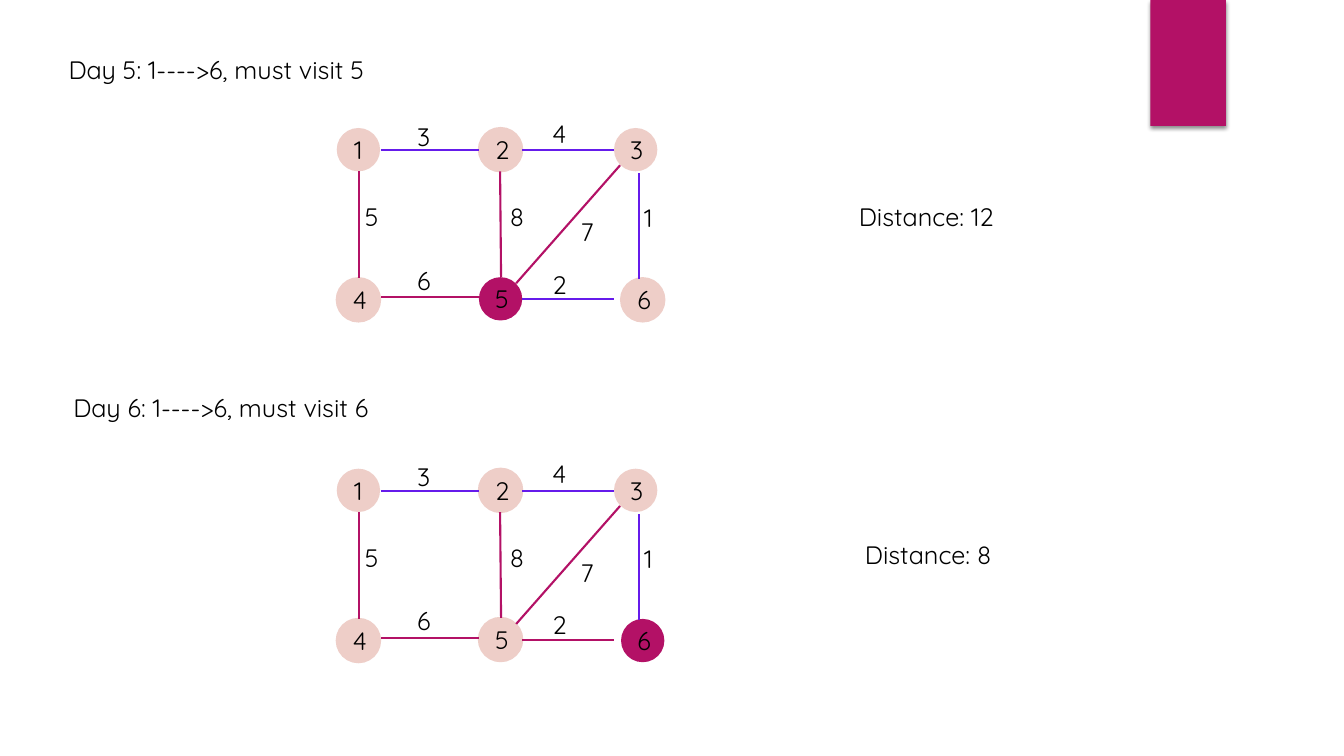
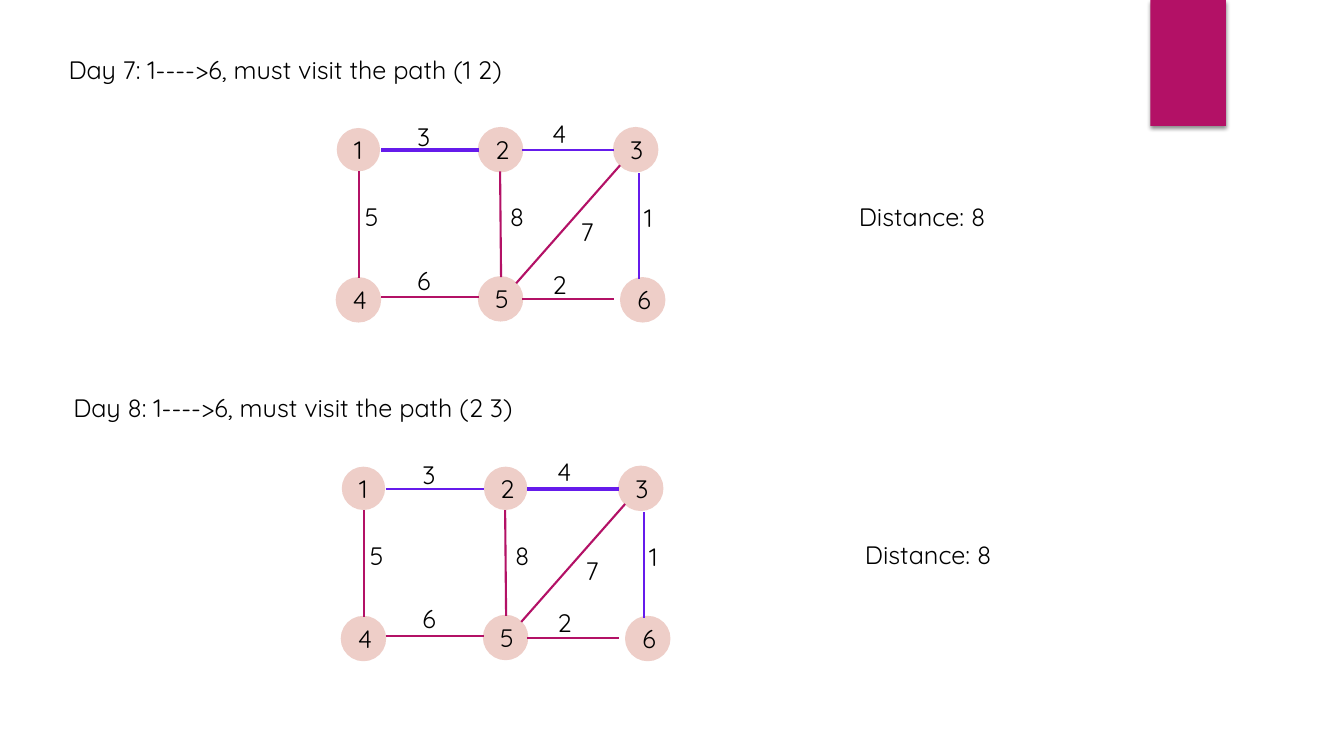
from lxml import etree
from pptx import Presentation
from pptx.dml.color import RGBColor
from pptx.enum import shapes, text
from pptx.oxml import parse_xml
from pptx.oxml.ns import nsdecls, qn
from pptx.util import Inches, Pt

COLORS = {"accent": "B31166", "route": "651BEB", "node": "EECEC8", "ink": "000000"}
FONT = "Quicksand"
NODE_SIZE = 0.43
LABEL_WIDTH, LINE_HEIGHT = 0.46, 0.4

NODES = {
    "1": (3.34, 1.27), "2": (4.75, 1.27), "3": (6.09, 1.27),
    "4": (3.34, 2.76), "5": (4.75, 2.75), "6": (6.16, 2.76),
}
EDGES = {
    "14": ("5", (3.56, 1.7), (3.56, 2.76), (3.52, 1.95)),
    "12": ("3", (3.78, 1.49), (4.75, 1.49), (4.04, 1.15)),
    "23": ("4", (5.18, 1.49), (6.09, 1.49), (5.38, 1.12)),
    "25": ("8", (4.96, 1.7), (4.97, 2.75), (4.96, 1.95)),
    "56": ("2", (5.18, 2.97), (6.09, 2.97), (5.38, 2.62)),
    "36": ("1", (6.34, 1.72), (6.34, 2.77), (6.29, 1.96)),
    "45": ("6", (3.78, 2.95), (4.75, 2.95), (4.04, 2.58)),
    "35": ("7", (6.15, 1.64), (5.12, 2.81), (5.66, 2.1)),
}
ROUTE = ["12", "23", "36"]
SLIDES = [
    [
        {"heading": "Day 5: 1---->6, must visit 5", "width": 4.44, "distance": "Distance: 12",
         "shift": (0, 0), "route": ROUTE + ["56"], "visit": "5", "outlined": "246"},
        {"heading": "Day 6: 1---->6, must visit 6", "width": 4.44, "distance": "Distance: 8",
         "shift": (0, 3.38), "route": ROUTE, "visit": "6", "outlined": "245"},
    ],
    [
        {"heading": "Day 7: 1---->6, must visit the path (1 2)", "width": 6.17,
         "distance": "Distance: 8", "shift": (0, 0), "route": ROUTE, "visit": "12",
         "outlined": "23456"},
        {"heading": "Day 8: 1---->6, must visit the path (2 3)", "width": 4.84,
         "distance": "Distance: 8", "shift": (0.05, 3.36), "route": ROUTE, "visit": "23",
         "outlined": "3456"},
    ],
]
TEXT_ROWS = [
    {"heading": (0.58, 0.49), "distance": (8.42, 1.95)},
    {"heading": (0.63, 3.84), "distance": (8.48, 5.3)},
]
DISTANCE_WIDTH = 2.82


def color(name):
    return RGBColor.from_string(COLORS[name])


def write(shape, words, align=text.PP_ALIGN.LEFT, anchor=text.MSO_ANCHOR.TOP):
    frame = shape.text_frame
    frame.word_wrap = True
    frame.auto_size = text.MSO_AUTO_SIZE.NONE
    frame.vertical_anchor = anchor
    paragraph = frame.paragraphs[0]
    paragraph.alignment = align
    run = paragraph.add_run()
    run.text = words
    run.font.name = FONT
    run.font.size = Pt(18)
    run.font.color.rgb = color("ink")


def add_label(parent, words, at, width):
    label = parent.add_textbox(*map(Inches, (*at, width, LINE_HEIGHT)))
    write(label, words)


def add_node(parent, number, at, fill, outlined):
    node = parent.add_shape(shapes.MSO_SHAPE.OVAL,
                            *map(Inches, (*at, NODE_SIZE, NODE_SIZE)))
    node.shadow.inherit = False
    node.fill.solid()
    node.fill.fore_color.rgb = color(fill)
    if outlined:
        node.line.color.rgb = color(fill)
        node.line.width = Pt(1.5)
    else:
        node.line.fill.background()
    write(node, number, text.PP_ALIGN.CENTER, text.MSO_ANCHOR.MIDDLE)


def add_edge(parent, start, end, stroke, weight):
    edge = parent.add_connector(shapes.MSO_CONNECTOR.STRAIGHT,
                                *map(Inches, (*start, *end)))
    edge.line.color.rgb = color(stroke)
    edge.line.width = Pt(weight)
    etree.SubElement(edge.element.spPr, qn("a:effectLst"))


def add_graph(slide, day):
    def shifted(point):
        return tuple(p + s for p, s in zip(point, day["shift"]))

    graph = slide.shapes.add_group_shape().shapes
    for number, at in NODES.items():
        fill = "accent" if number == day["visit"] else "node"
        add_node(graph, number, shifted(at), fill, number in day["outlined"])
    for ends, (length, start, end, label_at) in EDGES.items():
        stroke = "route" if ends in day["route"] else "accent"
        weight = 3 if ends == day["visit"] else 1.5
        add_edge(graph, shifted(start), shifted(end), stroke, weight)
        add_label(graph, length, shifted(label_at), LABEL_WIDTH)


def add_band(slide, layout):
    band = slide.shapes.add_shape(shapes.MSO_SHAPE.RECTANGLE,
                                  *map(Inches, (11.41, 0, 0.75, 1.25)))
    band.fill.solid()
    band.fill.fore_color.rgb = color("accent")
    band.line.fill.background()
    band.element.spPr.append(parse_xml(
        f'<a:effectLst {nsdecls("a")}><a:outerShdw blurRad="{Pt(3)}" dist="{Pt(2)}" '
        f'dir="5400000" rotWithShape="0"><a:srgbClr val="{COLORS["ink"]}">'
        '<a:alpha val="45000"/></a:srgbClr></a:outerShdw></a:effectLst>'))
    layout.shapes.element.append(band.element)


def main():
    prs = Presentation()
    prs.slide_width, prs.slide_height = Inches(13.33), Inches(7.5)
    layout = prs.slide_layouts[5]
    for index, days in enumerate(SLIDES):
        slide = prs.slides.add_slide(layout)
        if index == 0:
            add_band(slide, layout)
        title = slide.shapes.title
        for row, (day, places) in enumerate(zip(days, TEXT_ROWS)):
            if row == 0:
                title.left, title.top = map(Inches, places["heading"])
                title.width, title.height = Inches(day["width"]), Inches(LINE_HEIGHT)
                write(title, day["heading"])
            else:
                add_label(slide.shapes, day["heading"], places["heading"], day["width"])
            add_graph(slide, day)
            add_label(slide.shapes, day["distance"], places["distance"], DISTANCE_WIDTH)
    prs.save("out.pptx")


if __name__ == "__main__":
    main()
